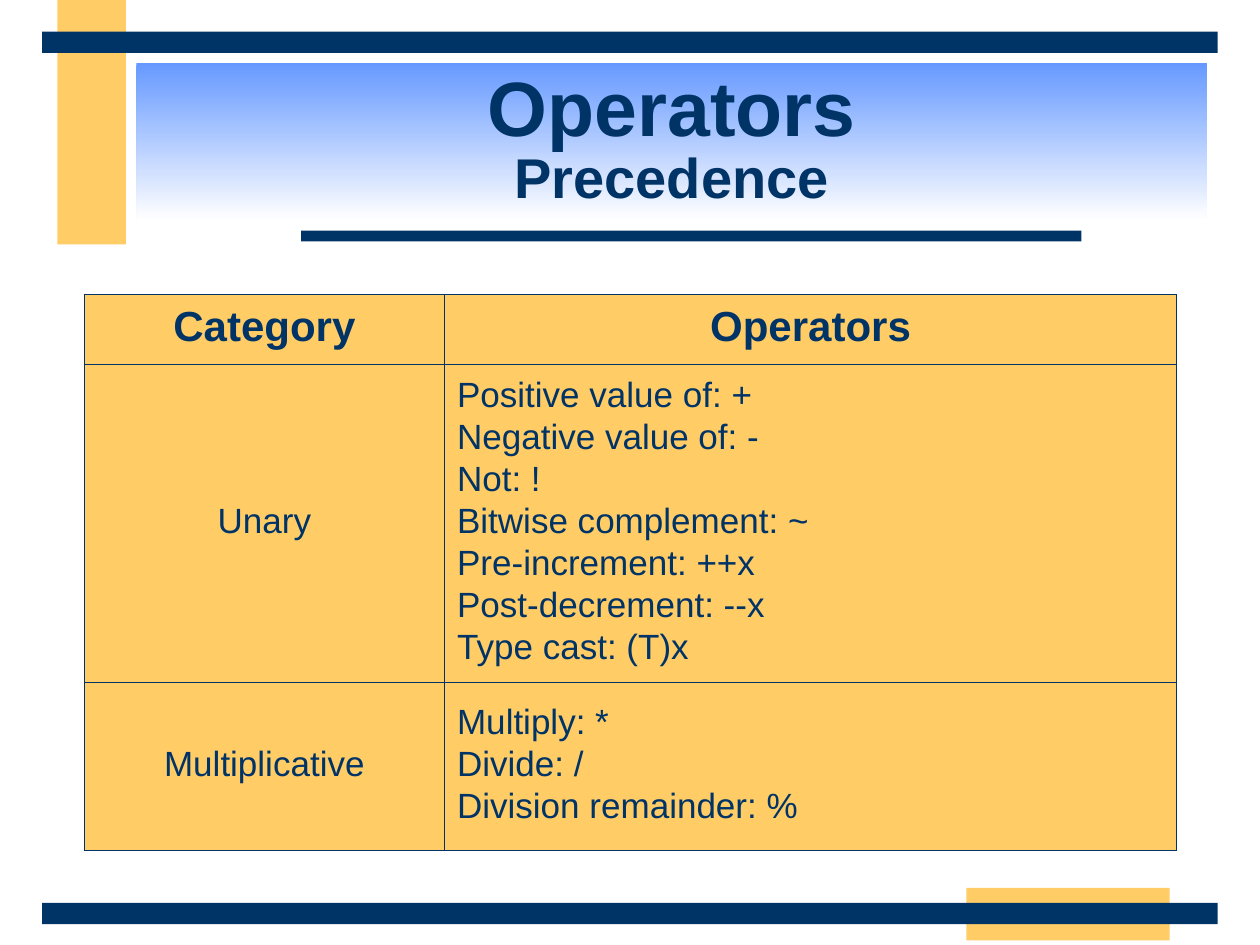
from dataclasses import dataclass

from lxml.etree import SubElement
from pptx import Presentation
from pptx.dml.color import RGBColor
from pptx.enum.shapes import MSO_SHAPE as Shape
from pptx.enum.text import MSO_ANCHOR as Anchor, PP_ALIGN as Align
from pptx.oxml.ns import qn
from pptx.util import Cm, Pt

NAVY, GOLD, BLUE, WHITE = "003366", "FFCC66", "6699FF", "FFFFFF"
FONT = "Arial"


@dataclass
class Bar:
    left: float
    top: float
    width: float
    height: float
    color: str


@dataclass
class Row:
    height: float
    category: str
    operators: list[str]
    size: int = 20
    bold: bool = False
    align: Align = Align.LEFT


# Lengths in centimetres
BARS = [
    Bar(1.16, 0, 1.38, 4.93, GOLD),
    Bar(19.48, 17.9, 4.1, 1.06, GOLD),
    Bar(6.07, 4.65, 15.73, 0.22, NAVY),
    Bar(0.85, 18.2, 23.7, 0.43, NAVY),
    Bar(0.85, 0.64, 23.7, 0.43, NAVY),
]
COLUMNS = [7.26, 14.76]
ROWS = [
    Row(1.42, "Category", ["Operators"], 24, True, Align.CENTER),
    Row(6.4, "Unary", ["Positive value of: +", "Negative value of: -", "Not: !",
                       "Bitwise complement: ~", "Pre-increment: ++x",
                       "Post-decrement: --x", "Type cast: (T)x"]),
    Row(3.39, "Multiplicative", ["Multiply: *", "Divide: /", "Division remainder: %"]),
]


def rgb(color: str) -> RGBColor:
    return RGBColor.from_string(color)


def set_font(font, size: int, bold: bool) -> None:
    font.name, font.size, font.bold = FONT, Pt(size), bold
    font.color.rgb = rgb(NAVY)


def add_rect(s, left: float, top: float, width: float, height: float):
    sp = s.shapes.add_shape(Shape.RECTANGLE, Cm(left), Cm(top), Cm(width), Cm(height))
    sp.shadow.inherit = False
    sp.line.fill.background()
    return sp


def add_bar(s, bar: Bar) -> None:
    sp = add_rect(s, bar.left, bar.top, bar.width, bar.height)
    sp.fill.solid()
    sp.fill.fore_color.rgb = rgb(bar.color)


def add_title(s, title: str, subtitle: str) -> None:
    sp = add_rect(s, 2.75, 1.27, 21.59, 3.18)
    sp.fill.gradient()
    sp.fill.gradient_angle = 270
    for stop, color in zip(sp.fill.gradient_stops, (BLUE, WHITE)):
        stop.color.rgb = rgb(color)
    tf = sp.text_frame
    tf.word_wrap = True
    tf.vertical_anchor = Anchor.MIDDLE
    p = tf.paragraphs[0]
    p.alignment, p.line_spacing = Align.CENTER, 0.85
    r = p.add_run()
    r.text = title
    set_font(r.font, 44, True)
    p.add_line_break()
    r = p.add_run()
    r.text = subtitle
    set_font(r.font, 32, True)


def add_borders(cell) -> None:
    tc_pr = cell._tc.get_or_add_tcPr()
    for side in ("a:lnL", "a:lnR", "a:lnT", "a:lnB"):
        ln = SubElement(tc_pr, qn(side), w=str(Pt(0.45)))
        fill = SubElement(ln, qn("a:solidFill"))
        SubElement(fill, qn("a:srgbClr"), val=NAVY)


def fill_cell(cell, lines: list[str], row: Row, align: Align) -> None:
    add_borders(cell)
    cell.fill.solid()
    cell.fill.fore_color.rgb = rgb(GOLD)
    cell.vertical_anchor = Anchor.MIDDLE
    tf = cell.text_frame
    tf.text = "\n".join(lines)
    for p in tf.paragraphs:
        p.alignment, p.line_spacing = align, 0.85
        p.space_before = Pt(row.size / 4)
        set_font(p.font, row.size, row.bold)


def add_operator_table(s) -> None:
    table = s.shapes.add_table(
        len(ROWS), len(COLUMNS), Cm(1.7), Cm(5.93),
        Cm(sum(COLUMNS)), Cm(sum(row.height for row in ROWS))).table
    for column, width in zip(table.columns, COLUMNS):
        column.width = Cm(width)
    for i, row in enumerate(ROWS):
        table.rows[i].height = Cm(row.height)
        fill_cell(table.cell(i, 0), [row.category], row, Align.CENTER)
        fill_cell(table.cell(i, 1), row.operators, row, row.align)


def main() -> None:
    prs = Presentation()
    prs.slide_width, prs.slide_height = Cm(25.4), Cm(19.05)
    s = prs.slides.add_slide(prs.slide_layouts[6])

    # Frame bars
    for bar in BARS:
        add_bar(s, bar)

    # Title and table
    add_title(s, "Operators", "Precedence")
    add_operator_table(s)

    prs.save("out.pptx")


if __name__ == "__main__":
    main()
